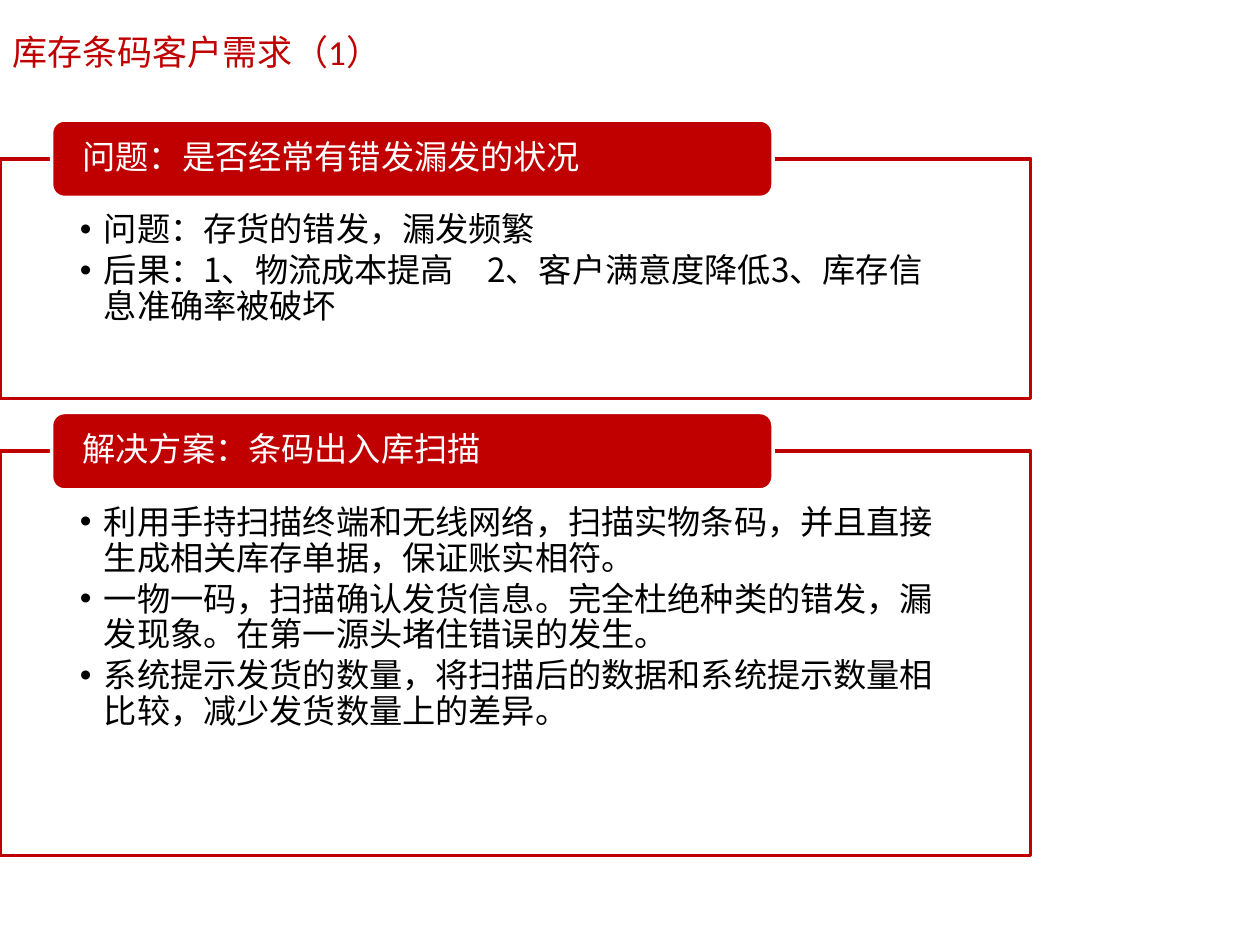
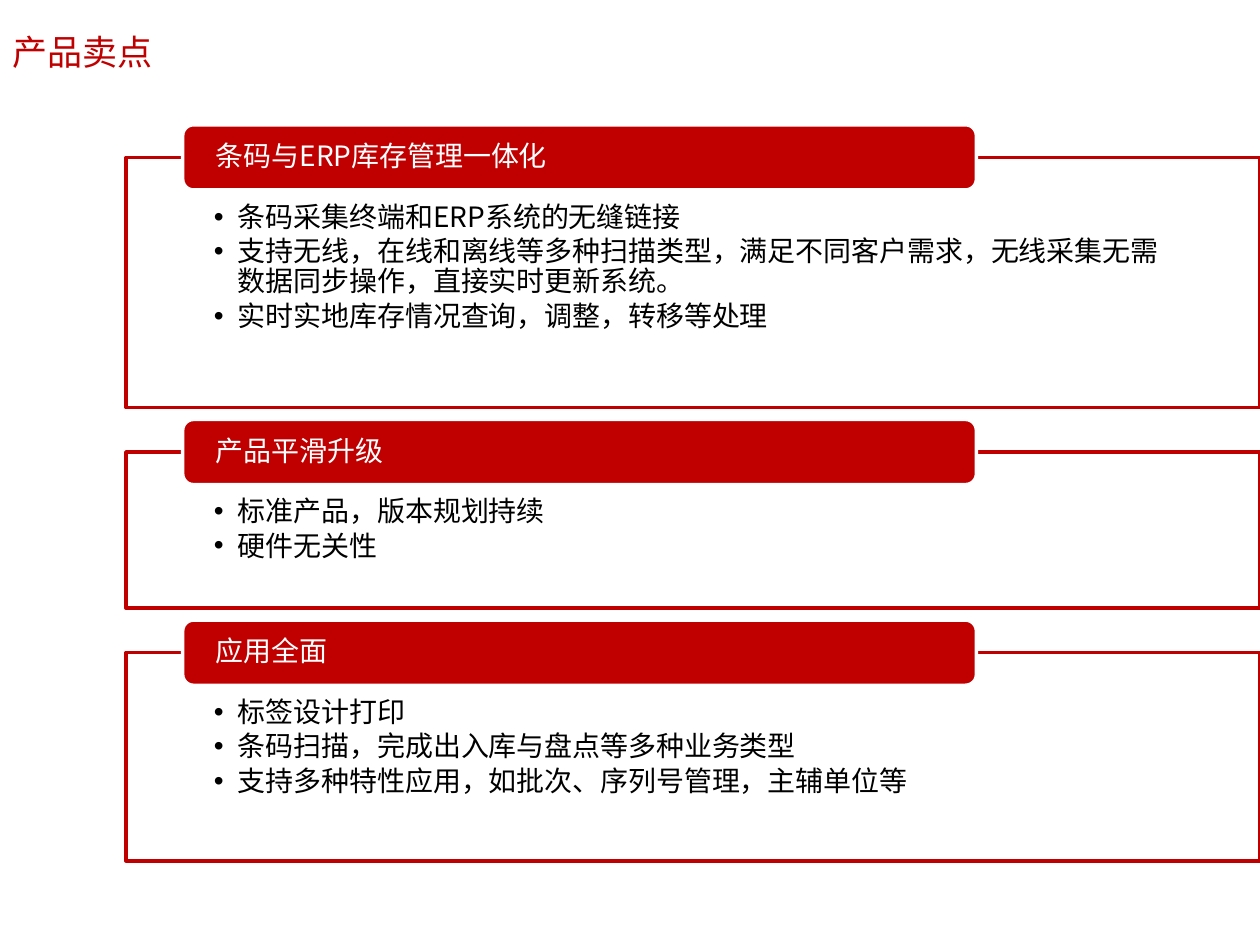
from dataclasses import dataclass

from lxml.etree import SubElement
from pptx import Presentation
from pptx.dml.color import RGBColor
from pptx.enum.shapes import MSO_SHAPE as Shape
from pptx.enum.text import MSO_ANCHOR as Anchor, PP_ALIGN as Align
from pptx.oxml.ns import qn
from pptx.util import Pt


@dataclass(frozen=True)
class Theme:
    red: RGBColor = RGBColor(0xC0, 0x00, 0x00)
    white: RGBColor = RGBColor(0xFF, 0xFF, 0xFF)
    black: RGBColor = RGBColor(0x00, 0x00, 0x00)
    title_font: str = "Calibri"
    body_font: str = "Noto Sans CJK SC"
    title_size: int = 20
    large_size: int = 19
    small_size: int = 16
    line_width: int = 2
    bullet_indent: float = 13.7
    panel_opacity: int = 90


THEME = Theme()


def add_bullet(para):
    properties = para._p.get_or_add_pPr()
    properties.set("marL", str(Pt(THEME.bullet_indent)))
    properties.set("indent", str(-Pt(THEME.bullet_indent)))
    SubElement(properties, qn("a:buFont"), typeface="Arial")
    SubElement(properties, qn("a:buChar"), char="•")


def write_text(para, text, *, size, color, font=THEME.body_font, line_spacing=None,
               space_after=0, bullet=False):
    para.alignment = Align.LEFT
    para.space_after = Pt(space_after)
    if line_spacing:
        para.line_spacing = line_spacing
    if bullet:
        add_bullet(para)
    span = para.add_run()
    span.text = text
    span.font.name = font
    span.font.size = Pt(size)
    span.font.color.rgb = color
    if font == THEME.body_font:
        SubElement(span.font._element, qn("a:ea"), typeface=font)


def set_frame(frame, *, side, top=0, bottom=0, anchor=Anchor.TOP):
    frame.word_wrap = True
    frame.vertical_anchor = anchor
    frame.margin_left = frame.margin_right = Pt(side)
    frame.margin_top, frame.margin_bottom = Pt(top), Pt(bottom)


def add_box(page, kind, left, top, width, height, *, fill, line):
    box = page.shapes.add_shape(kind, Pt(left), Pt(top), Pt(width), Pt(height))
    box.shadow.inherit = False
    box.fill.solid()
    box.fill.fore_color.rgb = fill
    box.line.color.rgb = line
    box.line.width = Pt(THEME.line_width)
    return box


def set_opacity(box, percent):
    color = box._element.spPr.find(qn("a:solidFill"))[0]
    SubElement(color, qn("a:alpha"), val=str(percent * 1000))


def add_panel(page, left, top, width, height, items, size):
    panel = add_box(page, Shape.RECTANGLE, left, top, width, height,
                    fill=THEME.white, line=THEME.red)
    set_opacity(panel, THEME.panel_opacity)
    frame = panel.text_frame
    set_frame(frame, side=width * 0.0776, top=size * 1.63, bottom=size * 0.56)
    for index, item in enumerate(items):
        para = frame.add_paragraph() if index else frame.paragraphs[0]
        write_text(para, item, size=size, color=THEME.black, line_spacing=0.9,
                   space_after=size * 0.15, bullet=True)


def add_heading(page, left, top, width, height, text, size):
    heading = add_box(page, Shape.ROUNDED_RECTANGLE, left + width * 0.05, top,
                      width * 0.7, height, fill=THEME.red, line=THEME.white)
    set_frame(heading.text_frame, side=width * 0.0265, anchor=Anchor.MIDDLE)
    write_text(heading.text_frame.paragraphs[0], text, size=size, color=THEME.white,
               line_spacing=0.9, space_after=size * 0.35)


def add_sections(page, sections, *, left, top, width, size):
    heading_height = size * 2.33
    gap = size * 0.42
    for heading, panel_height, items in sections:
        panel_top = top + heading_height / 2
        add_panel(page, left, panel_top, width, panel_height, items, size)
        add_heading(page, left, top, width, heading_height, heading, size)
        top = panel_top + panel_height + gap


def add_page(deck, title):
    page = deck.slides.add_slide(deck.slide_layouts[5])
    box = page.shapes.title
    box.left, box.top, box.width, box.height = Pt(0), Pt(12.2), Pt(582), Pt(34)
    set_frame(box.text_frame, side=7.2, top=3.6, bottom=3.6, anchor=Anchor.MIDDLE)
    write_text(box.text_frame.paragraphs[0], title, size=THEME.title_size,
               color=THEME.red, font=THEME.title_font)
    return page


def main():
    deck = Presentation()
    deck.slide_width, deck.slide_height = Pt(720), Pt(540)

    needs = [
        ("问题：是否经常有错发漏发的状况", 137, [
            "问题：存货的错发，漏发频繁",
            "后果：1、物流成本提高　2、客户满意度降低3、库存信息准确率被破坏",
        ]),
        ("解决方案：条码出入库扫描", 231, [
            "利用手持扫描终端和无线网络，扫描实物条码，并且直接生成相关库存单据，保证账实相符。",
            "一物一码，扫描确认发货信息。完全杜绝种类的错发，漏发现象。在第一源头堵住错误的发生。",
            "系统提示发货的数量，将扫描后的数据和系统提示数量相比较，减少发货数量上的差异。",
        ]),
    ]
    page = add_page(deck, "库存条码客户需求（1）")
    add_sections(page, needs, left=0, top=68.6, width=589, size=THEME.large_size)

    selling_points = [
        ("条码与ERP库存管理一体化", 143, [
            "条码采集终端和ERP系统的无缝链接",
            "支持无线，在线和离线等多种扫描类型，满足不同客户需求，无线采集无需数据同步操作，直接实时更新系统。",
            "实时实地库存情况查询，调整，转移等处理",
        ]),
        ("产品平滑升级", 89.3, [
            "标准产品，版本规划持续",
            "硬件无关性",
        ]),
        ("应用全面", 119, [
            "标签设计打印",
            "条码扫描，完成出入库与盘点等多种业务类型",
            "支持多种特性应用，如批次、序列号管理，主辅单位等",
        ]),
    ]
    page = add_page(deck, "产品卖点")
    add_sections(page, selling_points, left=72, top=71.3, width=648,
                 size=THEME.small_size)

    deck.save("out.pptx")


if __name__ == "__main__":
    main()
